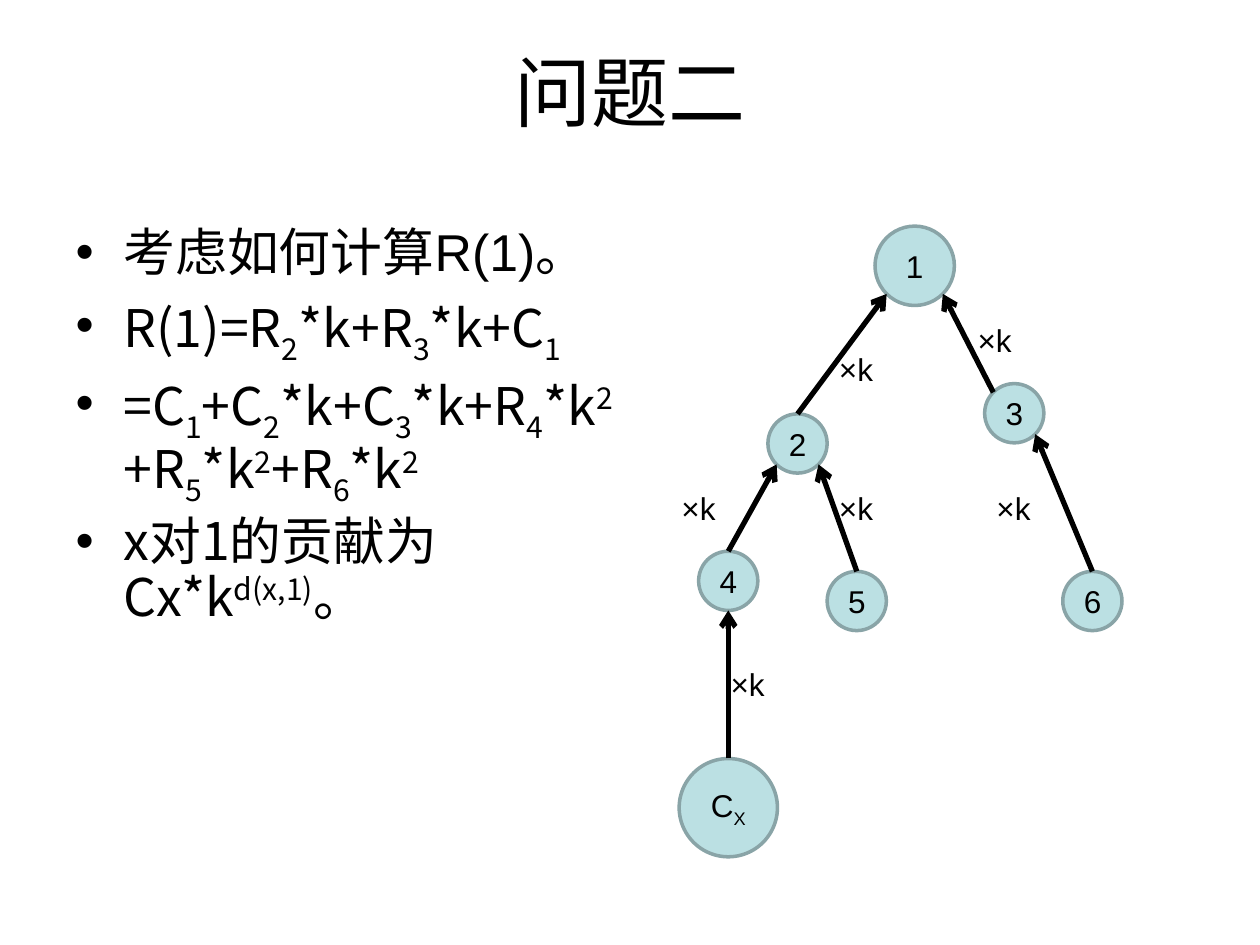
"""Build a slide that explains contributions to the root of a weighted tree."""
import math

import pptx
import pptx.dml.color
import pptx.enum.shapes
import pptx.enum.text
import pptx.oxml
import pptx.oxml.ns
import pptx.util

Inches = pptx.util.Inches
BLACK = pptx.dml.color.RGBColor(0x00, 0x00, 0x00)
NODE_FILL = pptx.dml.color.RGBColor(0xBB, 0xE0, 0xE3)
NODE_LINE = pptx.dml.color.RGBColor(0x89, 0xA4, 0xA7)
LATIN_FONT = "Arial"
CHINESE_FONT = "Noto Sans CJK SC"
BASELINES = {"_": "-25000", "^": "30000"}
NAMESPACE = pptx.oxml.ns.nsdecls("a")


def add_runs(paragraph, markup, size, font_name):
    """Split markup at bars; _ lowers a piece, ^ raises it, @ sets it in Arial."""
    for piece in markup.split("|"):
        mark = piece[0] if piece[0] in "_^@" else ""
        run = paragraph.add_run()
        run.text = piece[len(mark):]
        name = LATIN_FONT if mark == "@" else font_name
        run.font.color.rgb = BLACK
        for attribute, value in {"name": name, "size": pptx.util.Pt(size)}.items():
            setattr(run.font, attribute, value)
        properties = run.font._element
        properties.append(pptx.oxml.parse_xml(f'<a:ea {NAMESPACE} typeface="{name}"/>'))
        if mark in BASELINES:
            properties.set("baseline", BASELINES[mark])


def rim_point(node, angle):
    """Return the point on a node's rim, with the angle clockwise from the top."""
    center_x, center_y, diameter = node
    radians = math.radians(angle)
    return (Inches(center_x + diameter / 2 * math.sin(radians)),
            Inches(center_y - diameter / 2 * math.cos(radians)))


presentation = pptx.Presentation()
presentation.slide_width = Inches(10)
presentation.slide_height = Inches(7.5)
slide = presentation.slides.add_slide(presentation.slide_layouts[1])

title = slide.shapes.title
body = slide.placeholders[1]
for shape, box in ((title, (0.5, 0.3, 9, 1.25)), (body, (0.5, 1.75, 4.58, 4.95))):
    shape.left, shape.top, shape.width, shape.height = map(Inches, box)
    frame_format = {
        "word_wrap": True,
        "auto_size": pptx.enum.text.MSO_AUTO_SIZE.NONE,
        "vertical_anchor": pptx.enum.text.MSO_ANCHOR.TOP,
    }
    for attribute, value in frame_format.items():
        setattr(shape.text_frame, attribute, value)

title_paragraph = title.text_frame.paragraphs[0]
title_paragraph.alignment = pptx.enum.text.PP_ALIGN.CENTER
add_runs(title_paragraph, "问题二", 44, CHINESE_FONT)

bullets = [
    "考虑如何计算|@R(1)|。",
    "R(1)=R|_2|*k+R|_3|*k+C|_1",
    "=C|_1|+C|_2|*k+C|_3|*k+R|_4|*k|^2|+R|_5|*k|^2|+R|_6|*k|^2",
    "x对1的贡献为Cx*k|^d(x,1)|。",
]
bullet_format = {"line_spacing": 0.9, "space_before": pptx.util.Pt(8)}
for index, markup in enumerate(bullets):
    frame = body.text_frame
    paragraph = frame.add_paragraph() if index else frame.paragraphs[0]
    for attribute, value in bullet_format.items():
        setattr(paragraph, attribute, value)
    paragraph_properties = paragraph._p.get_or_add_pPr()
    paragraph_properties.set("marL", str(Inches(0.38)))
    paragraph_properties.set("indent", str(Inches(-0.38)))
    add_runs(paragraph, markup, 29.6, CHINESE_FONT)

nodes = {
    "1": (7.26, 2.11, 0.63),
    "2": (6.33, 3.52, 0.47),
    "4": (5.78, 4.61, 0.47),
    "5": (6.8, 4.77, 0.47),
    "6": (8.67, 4.77, 0.47),
    "3": (8.05, 3.28, 0.47),
    "C|_X": (5.78, 6.41, 0.78),
}
for label, (center_x, center_y, diameter) in nodes.items():
    node = slide.shapes.add_shape(
        pptx.enum.shapes.MSO_SHAPE.OVAL,
        Inches(center_x - diameter / 2), Inches(center_y - diameter / 2),
        Inches(diameter), Inches(diameter))
    node.shadow.inherit = False
    node.fill.solid()
    node.fill.fore_color.rgb = NODE_FILL
    node.line.color.rgb = NODE_LINE
    node.line.width = pptx.util.Pt(2)
    node.text_frame.vertical_anchor = pptx.enum.text.MSO_ANCHOR.MIDDLE
    paragraph = node.text_frame.paragraphs[0]
    paragraph.alignment = pptx.enum.text.PP_ALIGN.CENTER
    add_runs(paragraph, label, 18, LATIN_FONT)

edges = [
    ("2", 0, "1", 225),
    ("3", -45, "1", 135),
    ("4", 0, "2", 225),
    ("5", 0, "2", 135),
    ("C|_X", 0, "4", 180),
    ("6", 0, "3", 135),
]
for child, child_angle, parent, parent_angle in edges:
    edge = slide.shapes.add_connector(
        pptx.enum.shapes.MSO_CONNECTOR.STRAIGHT,
        *rim_point(nodes[child], child_angle), *rim_point(nodes[parent], parent_angle))
    edge.line.color.rgb = BLACK
    edge.line.width = pptx.util.Pt(3)
    edge.line._get_or_add_ln().append(
        pptx.oxml.parse_xml(f'<a:tailEnd {NAMESPACE} type="arrow"/>'))
    edge._element.spPr.append(pptx.oxml.parse_xml(f"<a:effectLst {NAMESPACE}/>"))

weight_positions = [(6.56, 2.73), (7.66, 2.5), (5.31, 3.83),
                    (6.56, 3.83), (7.81, 3.83), (5.7, 5.23)]
for left, top in weight_positions:
    weight = slide.shapes.add_textbox(Inches(left), Inches(top), Inches(0.78), Inches(0.4))
    weight.text_frame.word_wrap = True
    weight.text_frame.auto_size = pptx.enum.text.MSO_AUTO_SIZE.SHAPE_TO_FIT_TEXT
    add_runs(weight.text_frame.paragraphs[0], "×k", 18, LATIN_FONT)

presentation.save("out.pptx")
